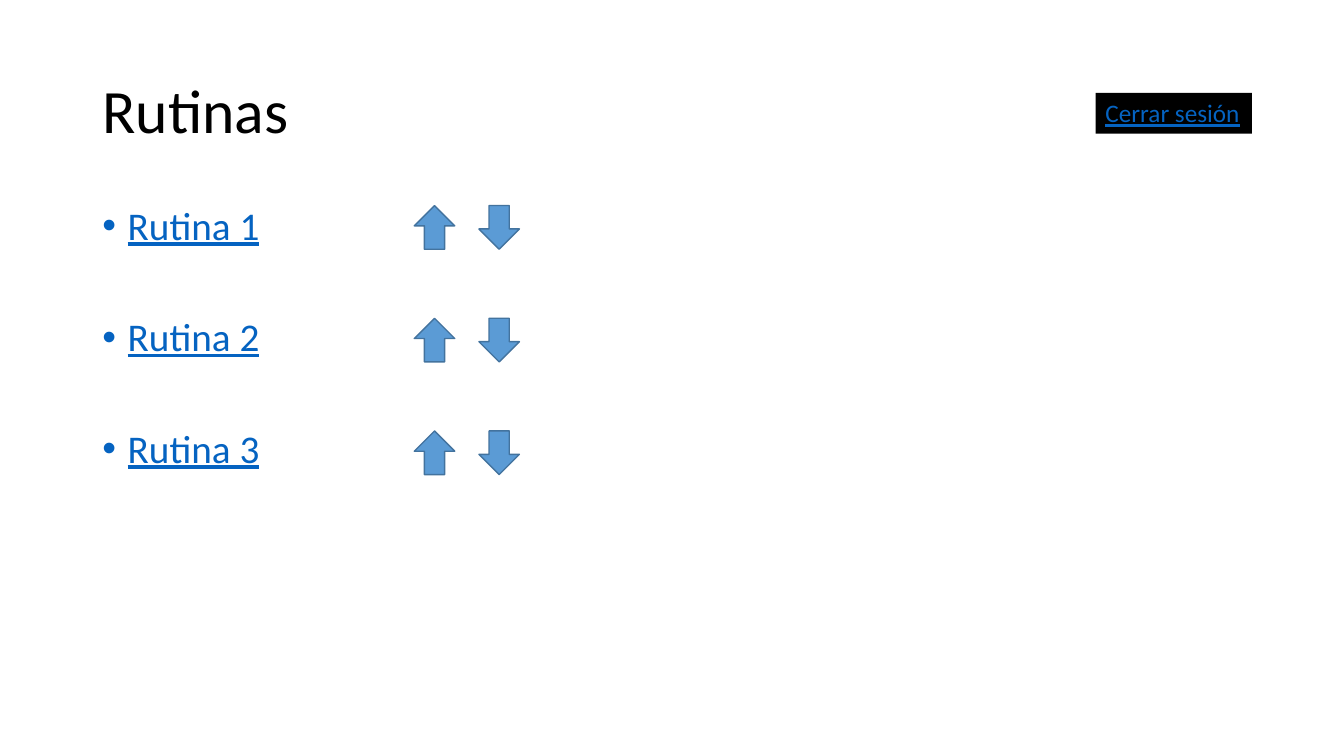
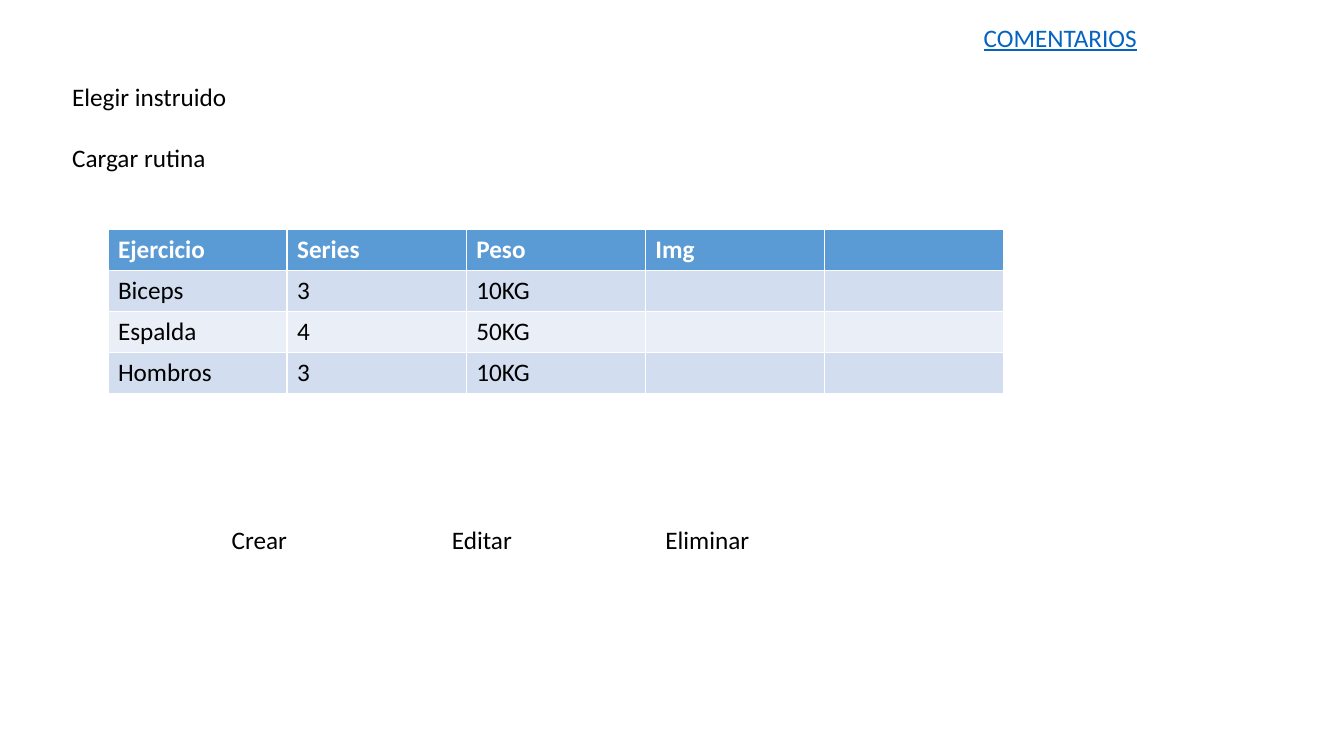
from pptx import Presentation
from pptx.dml.color import RGBColor
from pptx.enum.shapes import MSO_SHAPE
from pptx.enum.text import MSO_ANCHOR, PP_ALIGN
from pptx.oxml.ns import qn
from pptx.util import Cm, Pt
from lxml import etree

FONT = "Calibri"
BLACK, WHITE, LINK = "000000", "FFFFFF", "0563C1"
BLUE, EDGE = "5B9BD5", "43739E"
BANDS = ["EAEFF7", "D2DEEF"]


def color(code):
    """Turn a hex string into a colour."""
    return RGBColor.from_string(code)


def write(shape, lines, size=18, ink=BLACK, after=0, wrap=True):
    """Fill a shape with left-aligned paragraphs; link ink is underlined."""
    frame = shape.text_frame
    frame.word_wrap = wrap
    frame.text = "\n".join(lines)
    for para in frame.paragraphs:
        para.alignment = PP_ALIGN.LEFT
        para.space_after = Pt(after)
        font = para.font
        font.name, font.size = FONT, Pt(size)
        font.color.rgb = color(ink)
        font.underline = ink == LINK
    return frame


deck = Presentation()
deck.slide_width, deck.slide_height = Cm(33.87), Cm(19.05)

# Slide 1: list of routines
slide = deck.slides.add_slide(deck.slide_layouts[5])
title = slide.shapes.title
title.left, title.top, title.width, title.height = Cm(2.33), Cm(1.01), Cm(29.21), Cm(3.68)
frame = write(title, ["Rutinas"], 44)
frame.vertical_anchor = MSO_ANCHOR.MIDDLE
frame.paragraphs[0].line_spacing = 0.9

# The tab draws the underline on past the first name
body = slide.shapes.add_textbox(Cm(2.33), Cm(5.07), Cm(29.21), Cm(12.09))
frame = write(body, ["Rutina 1\t", "Rutina 2", "Rutina 3"], 28, LINK, after=49.5)
for para in frame.paragraphs:
    para.line_spacing = 0.9
    props = para._p.get_or_add_pPr()
    props.set("marL", str(Cm(0.64)))
    props.set("indent", str(Cm(-0.64)))
    etree.SubElement(props, qn("a:buFont"), typeface="Arial")
    etree.SubElement(props, qn("a:buChar"), char="•")
    # Bullet marks come before the font defaults in the schema
    props.append(props.find(qn("a:defRPr")))

for row in range(3):
    for left, turn in [(10.44, 180), (12.07, 0)]:
        arrow = slide.shapes.add_shape(
            MSO_SHAPE.DOWN_ARROW, Cm(left), Cm(5.18 + 2.84 * row), Cm(1.02), Cm(1.1))
        arrow.rotation = turn
        arrow.shadow.inherit = False
        arrow.fill.solid()
        arrow.fill.fore_color.rgb = color(BLUE)
        arrow.line.color.rgb = color(EDGE)
        arrow.line.width = Pt(1)

logout = slide.shapes.add_textbox(Cm(27.61), Cm(2.34), Cm(3.94), Cm(1.03))
logout.fill.solid()
logout.fill.fore_color.rgb = color(BLACK)
write(logout, ["Cerrar sesión"], ink=LINK, wrap=False)

# Slide 2: exercises of one routine
slide = deck.slides.add_slide(deck.slide_layouts[6])
steps = slide.shapes.add_textbox(Cm(1.57), Cm(1.93), Cm(8.05), Cm(3.33))
write(steps, ["Elegir instruido", "Cargar rutina"], after=22)

rows = [
    ["Ejercicio", "Series", "Peso", "Img", ""],
    ["Biceps", "3", "10KG", "", ""],
    ["Espalda", "4", "50KG", "", ""],
    ["Hombros", "3", "10KG", "", ""],
]
table = slide.shapes.add_table(
    len(rows), len(rows[0]), Cm(2.72), Cm(5.79), Cm(22.58), Cm(4.12)).table
for r, row in enumerate(rows):
    for c, text in enumerate(row):
        cell = table.cell(r, c)
        cell.fill.solid()
        cell.fill.fore_color.rgb = color(BANDS[r % 2] if r else BLUE)
        cell.text = text
        font = cell.text_frame.paragraphs[0].font
        font.name, font.size, font.bold = FONT, Pt(18), r == 0
        font.color.rgb = color(BLACK if r else WHITE)

menu = slide.shapes.add_textbox(Cm(5.59), Cm(13.08), Cm(23.65), Cm(1.03))
frame = write(menu, ["Crear\tEditar\tEliminar"])
props = frame.paragraphs[0]._p.get_or_add_pPr()
tabs = etree.SubElement(props, qn("a:tabLst"))
for stop in [5.55, 10.93]:
    etree.SubElement(tabs, qn("a:tab"), pos=str(Cm(stop)), algn="l")
props.append(props.find(qn("a:defRPr")))

notes = slide.shapes.add_textbox(Cm(24.54), Cm(0.43), Cm(6.38), Cm(1.03))
write(notes, ["COMENTARIOS"], ink=LINK)

deck.save("out.pptx")
